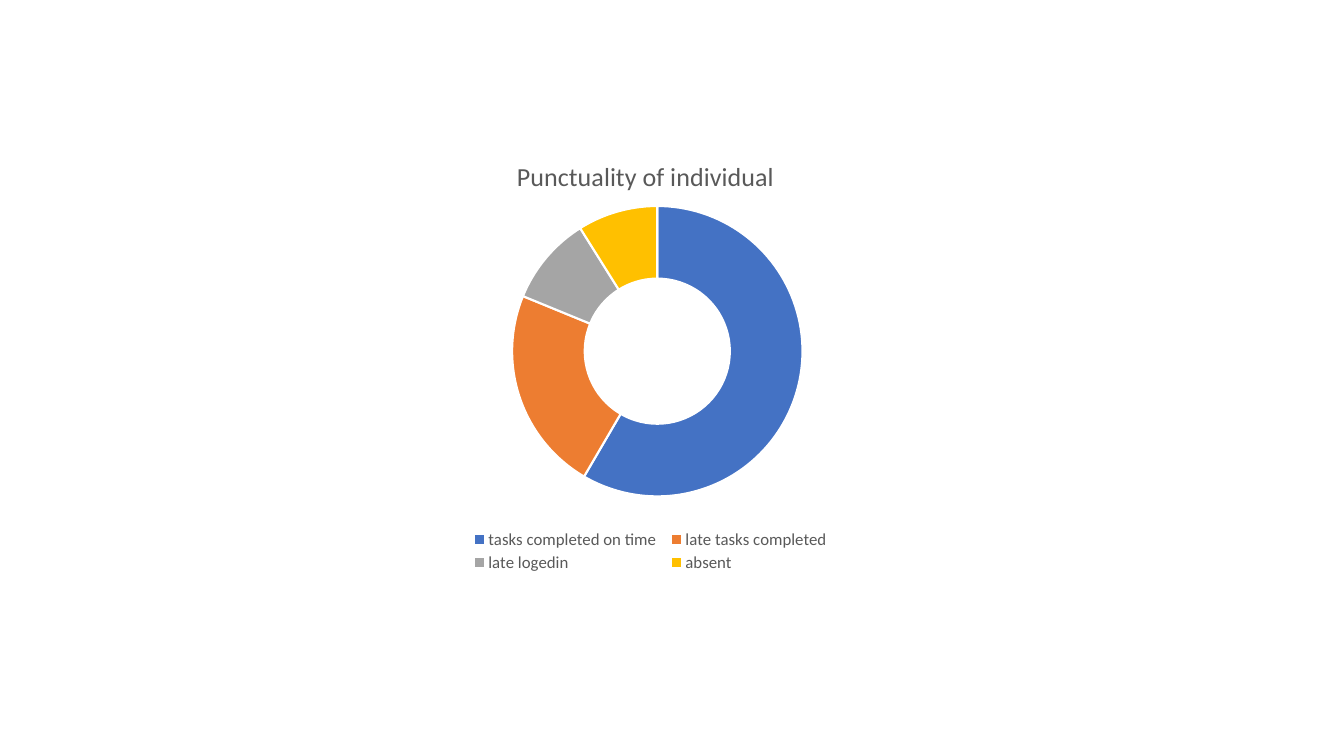
from lxml import etree
from pptx import Presentation
from pptx.chart.data import CategoryChartData
from pptx.dml.color import RGBColor
from pptx.enum.chart import XL_CHART_TYPE, XL_LEGEND_POSITION
from pptx.oxml.ns import qn
from pptx.util import Cm, Pt

DOUGHNUT = XL_CHART_TYPE.DOUGHNUT
BOTTOM = XL_LEGEND_POSITION.BOTTOM
FONT = "Calibri"
COLORS = {
    "tasks completed on time": "4472C4",
    "late tasks completed": "ED7D31",
    "late logedin": "A5A5A5",
    "absent": "FFC000",
    "text": "595959",
    "edge": "FFFFFF",
}
SHARES = {
    "tasks completed on time": 59,
    "late tasks completed": 23,
    "late logedin": 10,
    "absent": 9,
}


def color(name):
    return RGBColor.from_string(COLORS[name])


def style_font(font, size):
    font.name = FONT
    font.size = Pt(size)
    font.bold = False
    font.color.rgb = color("text")


def set_layout(element, inner=False, **place):
    for old in element.findall(qn("c:layout")):
        element.remove(old)
    layout = etree.Element(qn("c:layout"))
    manual = etree.SubElement(layout, qn("c:manualLayout"))
    if inner:
        etree.SubElement(manual, qn("c:layoutTarget")).set("val", "inner")
    for axis in ("x", "y"):
        etree.SubElement(manual, qn(f"c:{axis}Mode")).set("val", "edge")
    for key, value in place.items():
        etree.SubElement(manual, qn(f"c:{key}")).set("val", str(value))
    before = [e for e in element if e.tag in (qn("c:tx"), qn("c:legendPos"))]
    element.insert(len(before), layout)


def add_title(chart):
    tf = chart.chart_title.text_frame
    r = tf.paragraphs[0].add_run()
    r.text = "Punctuality of individual"
    style_font(r.font, 18.6)
    chart.chart_title.include_in_layout = False
    set_layout(chart.chart_title._element, x=0.3, y=0.05)


def add_legend(chart):
    chart.has_legend = True
    legend = chart.legend
    legend.position = BOTTOM
    legend.include_in_layout = False
    style_font(legend.font, 12)
    set_layout(legend._element, x=0.23, y=0.88, w=0.55, h=0.11)


def add_punctuality_chart(s, left, top, width, height):
    data = CategoryChartData()
    data.categories = list(SHARES)
    data.add_series("Series 1", list(SHARES.values()))
    chart = s.shapes.add_chart(DOUGHNUT, left, top, width, height, data).chart
    style_font(chart.font, 10)
    add_title(chart)
    add_legend(chart)

    plot = chart.plots[0]
    plot.vary_by_categories = True
    plot._element.find(qn("c:holeSize")).set("val", "75")
    set_layout(plot._element.getparent(), inner=True,
               x=0.3, y=0.14, w=0.43, h=0.7)
    for i, name in enumerate(SHARES):
        fmt = plot.series[0].points[i].format
        fmt.fill.solid()
        fmt.fill.fore_color.rgb = color(name)
        fmt.line.color.rgb = color("edge")
        fmt.line.width = Pt(1.5)


def main():
    prs = Presentation()
    prs.slide_width, prs.slide_height = Cm(33.87), Cm(19.05)
    s = prs.slides.add_slide(prs.slide_layouts[6])
    add_punctuality_chart(s, Cm(7.8), Cm(3.3), Cm(17.02), Cm(11.33))
    prs.save("out.pptx")


if __name__ == "__main__":
    main()
